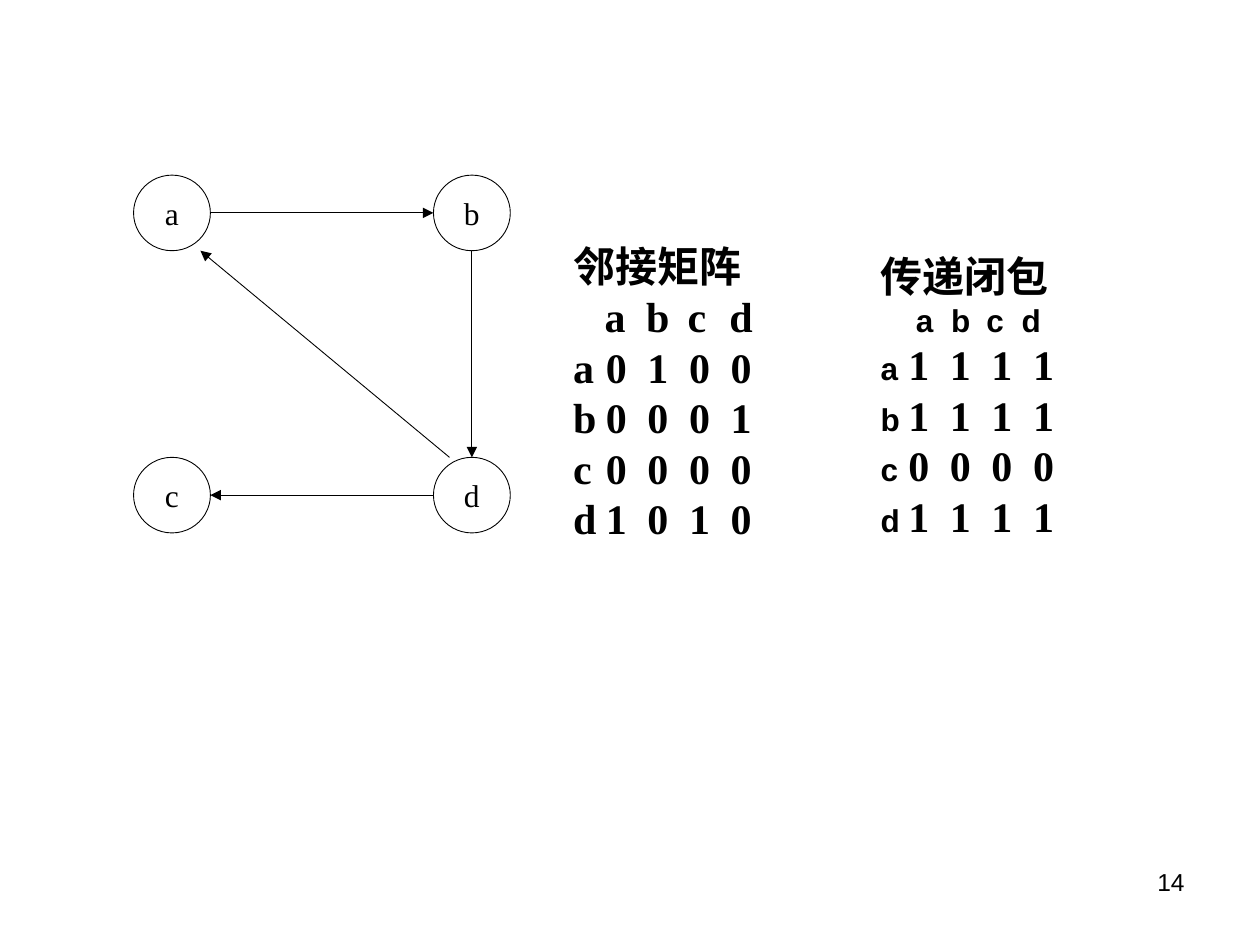
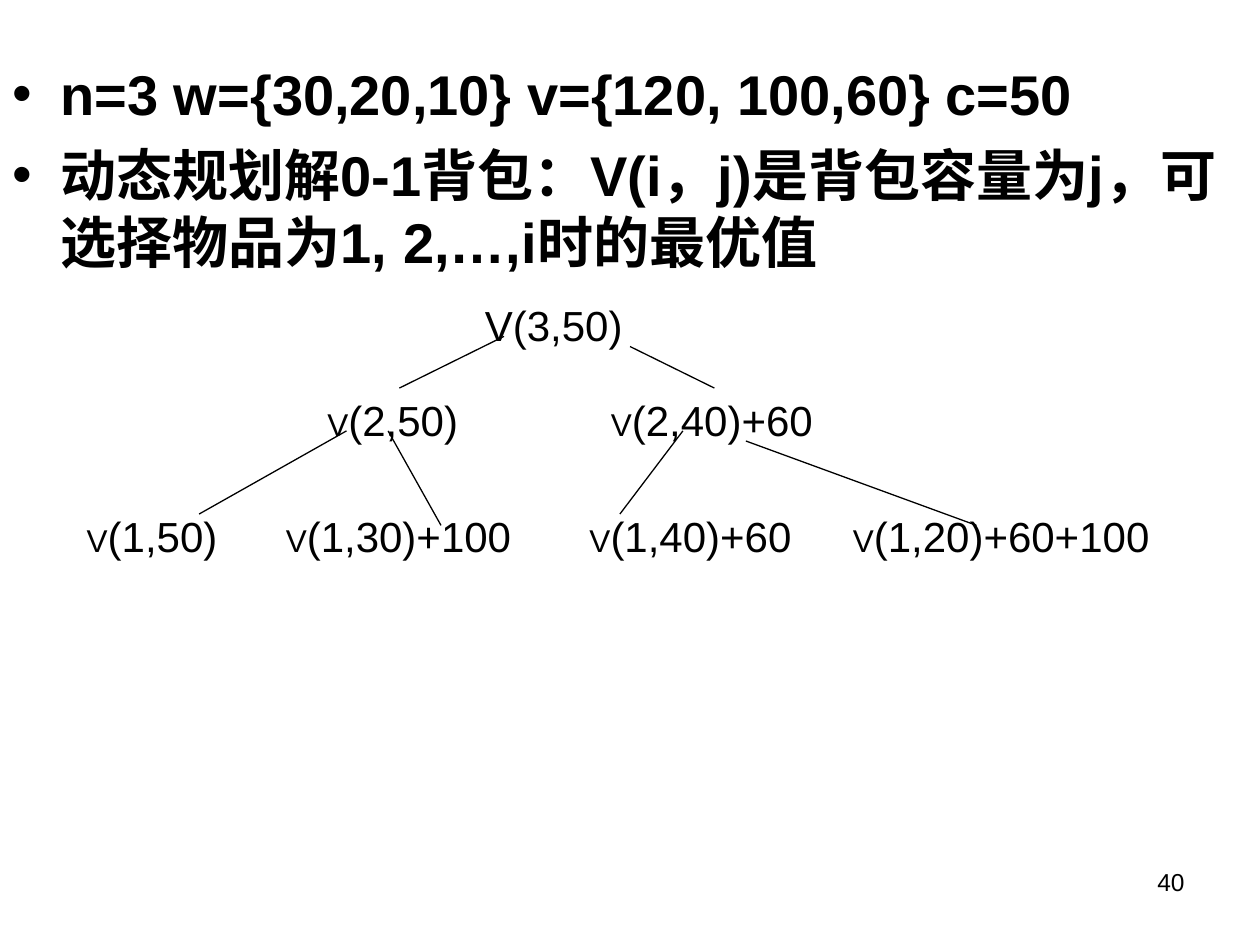
from lxml import etree
from pptx import Presentation
from pptx.dml.color import RGBColor
from pptx.enum import shapes, text
from pptx.oxml.ns import qn
from pptx.util import Inches, Pt

BLACK = RGBColor(0, 0, 0)
WHITE = RGBColor(255, 255, 255)
SERIF, SANS = "Times New Roman", "Arial"

# Graph: node places, and edges as (from, to) with a spot on each node's box
NODE_WIDTH, NODE_HEIGHT = 0.61, 0.6
NODES = {"a": (1.06, 1.39), "b": (3.44, 1.39), "c": (1.06, 3.63), "d": (3.44, 3.63)}
LEFT, RIGHT, TOP, BOTTOM = (0, 0.5), (1, 0.5), (0.5, 0), (0.5, 1)
EDGES = [
    ("a", RIGHT, "b", LEFT),
    ("d", LEFT, "c", RIGHT),
    ("b", BOTTOM, "d", TOP),
    ("d", (0.21, 0), "a", (0.87, 1)),
]

# Matrices: box, label style, (first column, step) of header and of rows
MATRICES = [
    dict(title="邻接矩阵", box=(4.45, 1.86, 1.65, 2.5), label=(24, SERIF),
         header_columns=(0.25, 0.33), row_columns=(0.26, 0.33),
         rows=["0100", "0001", "0000", "1010"]),
    dict(title="传递闭包", box=(6.89, 1.94, 2.05, 2.4), label=(18, SANS),
         header_columns=(0.28, 0.28), row_columns=(0.22, 0.33),
         rows=["1111", "1111", "0000", "1111"]),
]

BULLETS = [
    "n=3 w={30,20,10} v={120, 100,60} c=50",
    "动态规划解0-1背包：V(i，j)是背包容量为j，可选择物品为1, 2,…,i时的最优值",
]

# Recursion tree: levels of (left, width, arguments, size of the V)
TREE_LEVELS = [
    (2.33, [(3.75, 1.29, "(3,50)", 24)]),
    (3.08, [(2.5, 1.24, "(2,50)", 18), (4.75, 1.8, "(2,40)+60", 18)]),
    (4, [(0.59, 1.24, "(1,50)", 18), (2.17, 2.17, "(1,30)+100", 18),
         (4.58, 1.92, "(1,40)+60", 18), (6.67, 2.92, "(1,20)+60+100", 18)]),
]
BRANCHES = [
    ((5, 2.75), (5.67, 3.08)), ((4, 2.67), (3.17, 3.08)),
    ((2.75, 3.42), (1.58, 4.08)), ((3.08, 3.42), (3.5, 4.17)),
    ((5.42, 3.42), (4.92, 4.08)), ((5.92, 3.5), (7.75, 4.17)),
]


def add_run(paragraph, words, size, font=SANS, bold=False):
    run = paragraph.add_run()
    run.text = words
    run.font.size = Pt(size)
    run.font.name = font
    run.font.bold = bold
    run.font.color.rgb = BLACK


def add_text_box(slide, box, wrap=True):
    frame = slide.shapes.add_textbox(*map(Inches, box)).text_frame
    frame.word_wrap = wrap
    return frame


def add_line(slide, start, end, width, arrow=False):
    line = slide.shapes.add_connector(
        shapes.MSO_CONNECTOR.STRAIGHT, *map(Inches, (*start, *end)))
    line.line.color.rgb = BLACK
    line.line.width = Pt(width)
    if arrow:
        etree.SubElement(line.line._get_or_add_ln(), qn("a:tailEnd"), type="triangle")
    etree.SubElement(line._element.spPr, qn("a:effectLst"))


def add_slide_number(slide, number):
    paragraph = add_text_box(slide, (7.17, 6.83, 2.33, 0.52)).paragraphs[0]
    paragraph.alignment = text.PP_ALIGN.RIGHT
    add_run(paragraph, str(number), 14)


def add_node(slide, name):
    node = slide.shapes.add_shape(
        shapes.MSO_SHAPE.OVAL, *map(Inches, (*NODES[name], NODE_WIDTH, NODE_HEIGHT)))
    node.shadow.inherit = False
    node.fill.solid()
    node.fill.fore_color.rgb = WHITE
    node.line.color.rgb = BLACK
    node.line.width = Pt(0.5)
    frame = node.text_frame
    frame.word_wrap = False
    frame.vertical_anchor = text.MSO_ANCHOR.MIDDLE
    frame.paragraphs[0].alignment = text.PP_ALIGN.CENTER
    add_run(frame.paragraphs[0], name, 18, SERIF)


def node_point(name, spot):
    left, top = NODES[name]
    return left + spot[0] * NODE_WIDTH, top + spot[1] * NODE_HEIGHT


def set_columns(paragraph, first, step):
    """Put four left tab stops at equal steps."""
    tabs = etree.SubElement(paragraph._p.get_or_add_pPr(), qn("a:tabLst"))
    for column in range(4):
        etree.SubElement(tabs, qn("a:tab"), pos=str(Inches(first + column * step)), algn="l")


def add_matrix(slide, matrix):
    frame = add_text_box(slide, matrix["box"])
    add_run(frame.paragraphs[0], matrix["title"], 24, SERIF, bold=True)
    header = frame.add_paragraph()
    set_columns(header, *matrix["header_columns"])
    add_run(header, "\t" + "\t".join(NODES), *matrix["label"], bold=True)
    for name, values in zip(NODES, matrix["rows"]):
        row = frame.add_paragraph()
        set_columns(row, *matrix["row_columns"])
        add_run(row, name + "\t", *matrix["label"], bold=True)
        add_run(row, "\t".join(values), 24, SERIF, bold=True)


def build_graph_slide(presentation):
    slide = presentation.slides.add_slide(presentation.slide_layouts[6])
    for source, source_spot, target, target_spot in EDGES:
        add_line(slide, node_point(source, source_spot),
                 node_point(target, target_spot), 0.5, arrow=True)
    for name in NODES:
        add_node(slide, name)
    for matrix in MATRICES:
        add_matrix(slide, matrix)
    add_slide_number(slide, 14)


def fill_bullets(body):
    body.left, body.top, body.width, body.height = map(Inches, (0, 0.42, 10, 7.08))
    frame = body.text_frame
    frame.auto_size = text.MSO_AUTO_SIZE.NONE
    for index, words in enumerate(BULLETS):
        paragraph = frame.add_paragraph() if index else frame.paragraphs[0]
        paragraph.space_before = Pt(8 if index else 0)
        properties = paragraph._p.get_or_add_pPr()
        properties.set("marL", str(Inches(0.38)))
        properties.set("indent", str(-Inches(0.38)))
        etree.SubElement(properties, qn("a:buChar"), char="•")
        add_run(paragraph, words, 32, bold=True)


def build_knapsack_slide(presentation):
    slide = presentation.slides.add_slide(presentation.slide_layouts[1])
    title = slide.shapes.title._element
    title.getparent().remove(title)
    fill_bullets(slide.placeholders[1])
    for top, calls in TREE_LEVELS:
        for left, width, arguments, letter_size in calls:
            frame = add_text_box(slide, (left, top, width, 0.5), wrap=False)
            add_run(frame.paragraphs[0], "V", letter_size)
            add_run(frame.paragraphs[0], arguments, 24)
    for start, end in BRANCHES:
        add_line(slide, start, end, 0.75)
    add_slide_number(slide, 40)


def main():
    presentation = Presentation()
    presentation.slide_width, presentation.slide_height = Inches(10), Inches(7.5)
    build_graph_slide(presentation)
    build_knapsack_slide(presentation)
    presentation.save("out.pptx")


if __name__ == "__main__":
    main()
